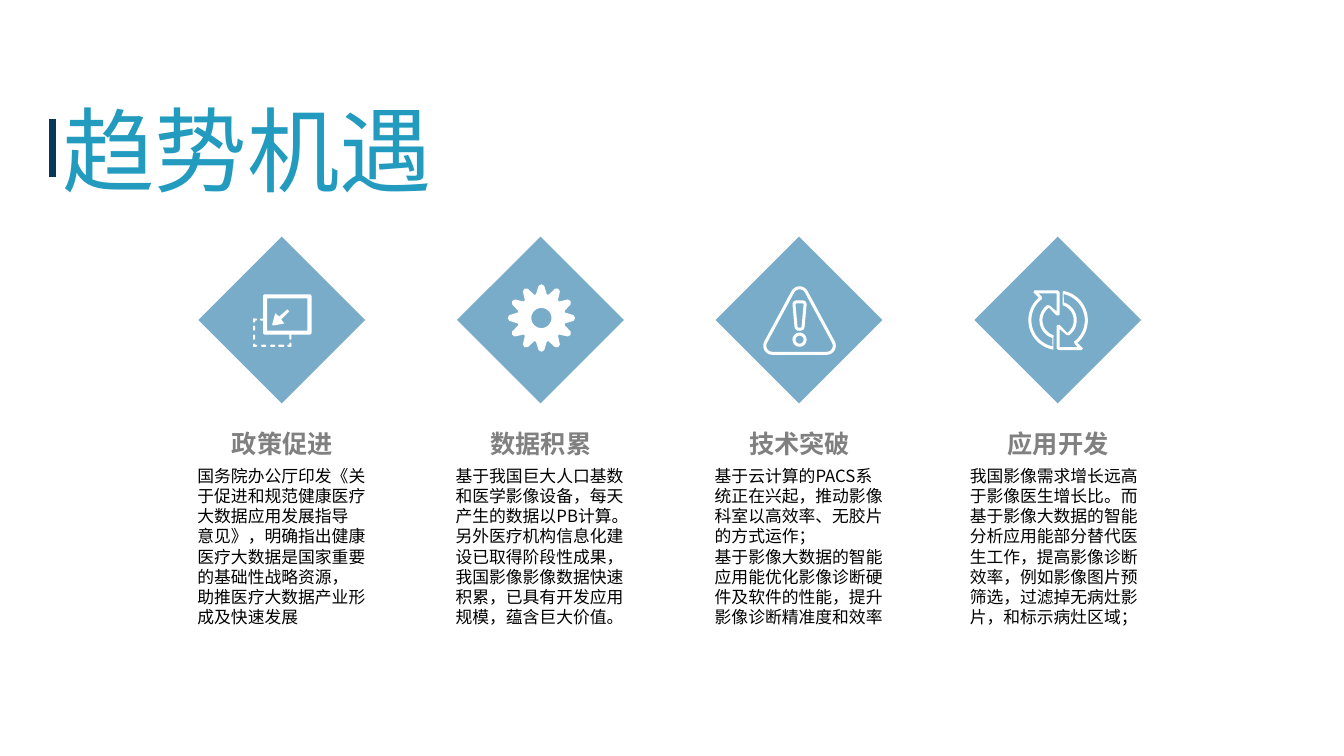
from math import atan2, cos, radians, sin, pi

from lxml.etree import SubElement
from pptx import Presentation
from pptx.dml.color import RGBColor
from pptx.enum.shapes import MSO_CONNECTOR as Connector, MSO_SHAPE as Shape
from pptx.enum.text import MSO_AUTO_SIZE as AutoSize, PP_ALIGN as Align
from pptx.oxml.ns import qn
from pptx.util import Inches, Pt

FONT = "Noto Sans CJK SC"
COLORS = {
    "title": "229BBF",
    "bar": "093759",
    "diamond": "79ACC9",
    "heading": "808080",
    "body": "000000",
    "icon": "FFFFFF",
}


def arc(center, radius, start, end, steps=32):
    """Points on an arc; angles in degrees, clockwise from the right."""
    angles = [radians(start + (end - start) * i / steps) for i in range(steps + 1)]
    return [(center[0] + radius * cos(a), center[1] + radius * sin(a)) for a in angles]


def rounded(centers, radius):
    """Outline of a clockwise convex polygon widened by a radius."""
    points = []
    for i, (x, y) in enumerate(centers):
        before = centers[i - 1]
        after = centers[(i + 1) % len(centers)]
        entry = atan2(y - before[1], x - before[0])
        leave = atan2(after[1] - y, after[0] - x)
        turn = (leave - entry) % (2 * pi)
        start = entry * 180 / pi - 90
        points += arc((x, y), radius, start, start + turn * 180 / pi, 8)
    return points


def box_corners(left, top, right, bottom):
    return [(left, top), (right, top), (right, bottom), (left, bottom)]


class SlideBuilder:
    def __init__(self, page):
        self.page = page

    def color(self, name):
        return RGBColor.from_string(COLORS[name])

    def paint(self, shape, name):
        shape.shadow.inherit = False
        shape.fill.solid()
        shape.fill.fore_color.rgb = self.color(name)
        shape.line.fill.background()

    def text(self, place, lines, size, color, bold=False, align=None, wrap=True):
        box = self.page.shapes.add_textbox(*map(Inches, place))
        frame = box.text_frame
        frame.text = "\n".join(lines)
        frame.word_wrap = wrap
        frame.auto_size = AutoSize.SHAPE_TO_FIT_TEXT
        for para in frame.paragraphs:
            para.alignment = align
            for span in para.runs:
                span.font.name = FONT
                span.font.size = Pt(size)
                span.font.bold = bold
                span.font.color.rgb = self.color(color)
                SubElement(span.font._element, qn("a:ea")).set("typeface", FONT)

    def diamond(self, left, top, side):
        place = map(Inches, (left, top, side, side))
        shape = self.page.shapes.add_shape(Shape.RECTANGLE, *place)
        shape.rotation = 45
        self.paint(shape, "diamond")

    def outline(self, *contours):
        """One white shape; inner contours become holes."""
        builder = None
        for contour in contours:
            start, *rest = [(Inches(x), Inches(y)) for x, y in contour]
            if builder is None:
                builder = self.page.shapes.build_freeform(*start)
            else:
                builder.move_to(*start)
            builder.add_line_segments(rest, close=True)
        self.paint(builder.convert_to_shape(), "icon")

    def bar(self, x, top, bottom, width):
        ends = map(Inches, (x, top, x, bottom))
        line = self.page.shapes.add_connector(Connector.STRAIGHT, *ends)
        line.line.color.rgb = self.color("bar")
        line.line.width = Pt(width)
        SubElement(line._element.spPr, qn("a:effectLst"))

    # Icons
    def move_icon(self):
        dashes = [
            (2.52, 3.42, 2.52, 3.43), (2.52, 3.43, 2.54, 3.43),
            (2.52, 3.33, 2.52, 3.36), (2.52, 3.24, 2.52, 3.27),
            (2.52, 3.17, 2.52, 3.19), (2.52, 3.17, 2.54, 3.17),
            (2.59, 3.17, 2.61, 3.17), (2.6, 3.43, 2.63, 3.43),
            (2.69, 3.43, 2.72, 3.43), (2.77, 3.43, 2.81, 3.43),
            (2.86, 3.43, 2.88, 3.43), (2.88, 3.41, 2.88, 3.43),
            (2.88, 3.32, 2.88, 3.36),
        ]
        for x1, y1, x2, y2 in dashes:
            self.outline(rounded([(x1, y1), (x2, y2)], 0.01))
        self.outline(rounded(box_corners(2.63, 2.94, 3.07, 3.3), 0.02),
                     box_corners(2.65, 2.96, 3.05, 3.28))
        self.outline([(2.71, 3.23), (2.82, 3.21), (2.79, 3.17), (2.87, 3.09),
                      (2.85, 3.07), (2.77, 3.14), (2.73, 3.11), (2.7, 3.22)])

    def gear_icon(self):
        center, teeth = (5.37, 3.155), 12
        profile = [(-13, 0.24), (-7, 0.295), (-5, 0.32), (0, 0.335),
                   (5, 0.32), (7, 0.295), (13, 0.24)]
        rim = []
        for tooth in range(teeth):
            for offset, radius in profile:
                angle = radians(tooth * 360 / teeth + offset)
                rim.append((center[0] + radius * cos(angle),
                            center[1] + radius * sin(angle)))
        self.outline(rim, arc(center, 0.1, 0, 360))

    def warning_icon(self):
        triangle = [(7.93, 2.93), (8.2, 3.43), (7.66, 3.43)]
        mark = [(7.9, 3.02), (7.96, 3.02), (7.94, 3.24), (7.92, 3.24)]
        dot = (7.93, 3.37)
        self.outline(rounded(triangle, 0.09), rounded(triangle, 0.06),
                     rounded(mark, 0.04), rounded(mark, 0.01),
                     arc(dot, 0.07, 0, 360), arc(dot, 0.04, 0, 360))

    def cycle_icon(self):
        center = (10.495, 3.177)
        outer = [(10.26, 2.88), (10.25, 2.9), (10.3, 2.95),
                 *arc(center, 0.295, 230, 99), *arc(center, 0.155, 107, 234),
                 (10.48, 3.13), (10.5, 3.13), (10.51, 3.12), (10.51, 2.9), (10.49, 2.88)]
        inner = [(10.3, 2.91), (10.48, 2.91), (10.48, 3.09), (10.41, 3.03),
                 *arc(center, 0.185, 234, 108), *arc(center, 0.265, 102, 233),
                 (10.33, 2.94)]
        half_turn = [[(2 * center[0] - x, 2 * center[1] - y) for x, y in contour]
                     for contour in (outer, inner)]
        self.outline(outer, inner, *half_turn)


# Heading, left and width of the body text, body paragraphs
COLUMNS = [
    ("政策促进", 1.86, 1.88, [
        "国务院办公厅印发《关于促进和规范健康医疗大数据应用发展指导",
        "意见》，明确指出健康医疗大数据是国家重要的基础性战略资源，",
        "助推医疗大数据产业形成及快速发展"]),
    ("数据积累", 4.42, 1.88, [
        "基于我国巨大人口基数和医学影像设备，每天产生的数据以PB计算。"
        "另外医疗机构信息化建设已取得阶段性成果，我国影像影像数据快速积累，"
        "已具有开发应用规模，蕴含巨大价值。"]),
    ("技术突破", 6.99, 1.88, [
        "基于云计算的PACS系统正在兴起，推动影像科室以高效率、无胶片的方式运作；",
        "基于影像大数据的智能应用能优化影像诊断硬",
        "件及软件的性能，提升影像诊断精准度和效率"]),
    ("应用开发", 9.52, 1.96, [
        "我国影像需求增长远高于影像医生增长比。而基于影像大数据的智能分析应用"
        "能部分替代医生工作，提高影像诊断效率，例如影像图片预筛选，"
        "过滤掉无病灶影片，和标示病灶区域；"]),
]
PITCH = 2.565


def main():
    deck = Presentation()
    deck.slide_width, deck.slide_height = Inches(13.33), Inches(7.5)
    builder = SlideBuilder(deck.slides.add_slide(deck.slide_layouts[6]))

    # Four columns
    for i, (heading, left, width, body) in enumerate(COLUMNS):
        builder.diamond(2.21 + i * PITCH, 2.59, 1.17)
        builder.text((2.05 + i * PITCH, 4.2, 1.5, 0.4), [heading], 18, "heading",
                     bold=True, align=Align.CENTER)
        builder.text((left, 4.57, width, 1.72), body, 12, "body")

    # Icons on the diamonds
    builder.move_icon()
    builder.gear_icon()
    builder.warning_icon()
    builder.cycle_icon()

    # Title
    builder.text((0.52, 0.87, 3.9, 1.21), ["趋势机遇"], 66, "title", wrap=False)
    builder.bar(0.52, 1.18, 1.76, 4.5)

    deck.save("out.pptx")


if __name__ == "__main__":
    main()
